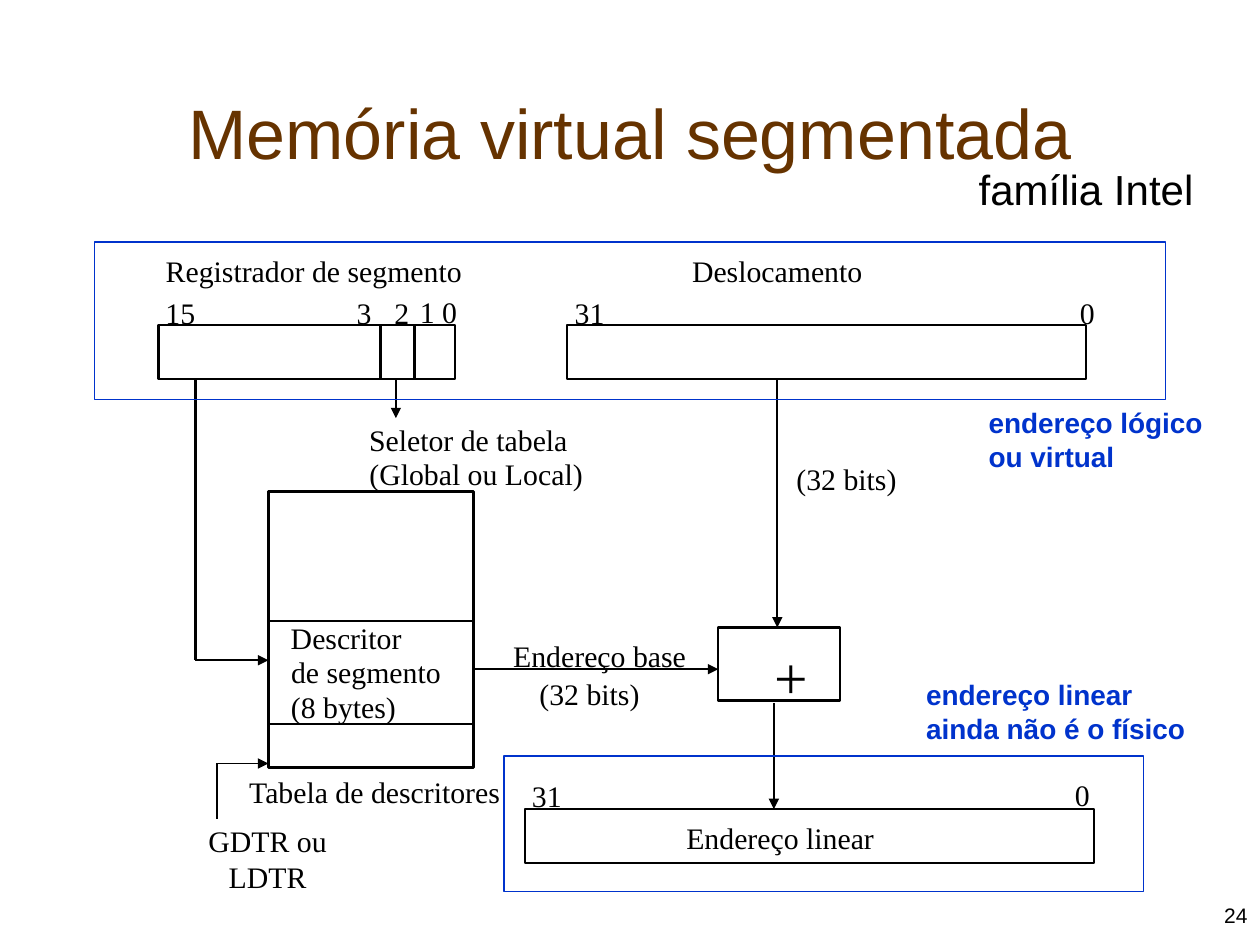
import pptx
import pptx.dml.color
import pptx.enum.shapes
import pptx.enum.text
import pptx.util
from lxml import etree
from pptx.oxml.ns import qn

Cm = pptx.util.Cm
Pt = pptx.util.Pt
ALIGN = pptx.enum.text.PP_ALIGN
ANCHOR = pptx.enum.text.MSO_ANCHOR
AUTO_SIZE = pptx.enum.text.MSO_AUTO_SIZE

BLACK, BLUE, BROWN = "000000", "0033CC", "663300"
SANS, SERIF = "Arial", "Times New Roman"


def rgb(value):
    return pptx.dml.color.RGBColor.from_string(value)


class Diagram:
    """Draws on one slide; positions are in centimetres."""

    label_size = 17
    label_height = 0.71
    box_weight = 1.39
    arrow_weight = 1

    def __init__(self, slide):
        self.slide = slide

    def format(self, sp, text, size, font, color, align, bold=False):
        tf = sp.text_frame
        tf.text = text
        p = tf.paragraphs[0]
        p.alignment = align
        for r in p.runs:
            r.font.size = Pt(size)
            r.font.name = font
            r.font.bold = bold
            r.font.color.rgb = rgb(color)

    def title(self, text, left, top, width, height):
        sp = self.slide.shapes.title
        sp.left, sp.top = Cm(left), Cm(top)
        sp.width, sp.height = Cm(width), Cm(height)
        self.format(sp, text, 40, SANS, BROWN, ALIGN.CENTER)
        sp.text_frame.vertical_anchor = ANCHOR.MIDDLE

    def note(self, text, left, top, width, height, size, color=BLACK,
             bold=False, wrap=True, align=ALIGN.LEFT):
        sp = self.slide.shapes.add_textbox(Cm(left), Cm(top), Cm(width), Cm(height))
        sp.text_frame.word_wrap = wrap
        self.format(sp, text, size, SANS, color, align, bold)

    def label(self, text, left, top, width, height=label_height, size=label_size):
        """Adds a one-line serif text without margins."""
        sp = self.slide.shapes.add_textbox(Cm(left), Cm(top), Cm(width), Cm(height))
        tf = sp.text_frame
        tf.margin_left = tf.margin_right = tf.margin_top = tf.margin_bottom = 0
        tf.word_wrap = False
        tf.auto_size = AUTO_SIZE.SHAPE_TO_FIT_TEXT
        self.format(sp, text, size, SERIF, BLACK, ALIGN.CENTER)

    def box(self, left, top, width, height, color=BLACK, weight=box_weight):
        sp = self.slide.shapes.add_shape(
            pptx.enum.shapes.MSO_SHAPE.RECTANGLE,
            Cm(left), Cm(top), Cm(width), Cm(height))
        sp.shadow.inherit = False
        sp.fill.background()
        sp.line.color.rgb = rgb(color)
        sp.line.width = Pt(weight)

    def line(self, x1, y1, x2, y2, weight=box_weight):
        cx = self.slide.shapes.add_connector(
            pptx.enum.shapes.MSO_CONNECTOR.STRAIGHT, Cm(x1), Cm(y1), Cm(x2), Cm(y2))
        cx.line.color.rgb = rgb(BLACK)
        cx.line.width = Pt(weight)
        etree.SubElement(cx._element.spPr, qn("a:effectLst"))
        return cx

    def arrow(self, x1, y1, x2, y2):
        cx = self.line(x1, y1, x2, y2, self.arrow_weight)
        etree.SubElement(cx.line._get_or_add_ln(), qn("a:tailEnd"),
                         type="triangle", w="med", len="med")


def main():
    prs = pptx.Presentation()
    prs.slide_width, prs.slide_height = Cm(25.4), Cm(19.05)
    d = Diagram(prs.slides.add_slide(prs.slide_layouts[5]))

    d.title("Memória virtual segmentada", 1.9, 1.07, 21.59, 3.18)
    d.note("família Intel", 19.48, 3.17, 4.83, 1.27, 24, wrap=False)

    # Registers, descriptor table, adder and linear address
    for box in (
        (3.2, 6.55, 5.97, 1.09),
        (11.43, 6.55, 10.46, 1.09),
        (5.41, 9.91, 4.14, 5.56),
        (5.41, 12.52, 4.14, 2.08),
        (14.48, 12.65, 2.46, 1.47),
        (10.59, 16.31, 11.46, 1.09),
    ):
        d.box(*box)
    for x in (7.67, 8.36):
        d.line(x, 6.55, x, 7.64)

    # Bit numbers
    for text, left, top, width in (
        ("15", 3.33, 5.94, 0.61),
        ("3", 7.19, 5.94, 0.3),
        ("2", 7.95, 5.94, 0.3),
        ("1 0", 8.46, 5.92, 0.76),
        ("31", 11.58, 5.94, 0.61),
        ("0", 21.77, 5.94, 0.3),
        ("31", 10.72, 15.68, 0.61),
        ("0", 21.67, 15.66, 0.3),
    ):
        d.label(text, left, top, width)

    for text, left, top, width in (
        ("Registrador de segmento", 3.33, 5.1, 6),
        ("Deslocamento", 13.94, 5.1, 3.46),
        ("Seletor de tabela", 7.44, 8.51, 4.01),
        ("(Global ou Local)", 7.44, 9.19, 4.32),
        ("Descritor", 5.86, 12.5, 2.24),
        ("de segmento", 5.86, 13.18, 3.04),
        ("(8 bytes)", 5.86, 13.88, 2.13),
        ("Tabela de descritores", 5, 15.6, 5.11),
        ("GDTR ou LDTR", 3.35, 16.59, 4.09),
        ("Endereço base", 10.34, 12.85, 3.5),
        ("(32 bits)", 10.87, 13.62, 2.03),
        ("(32 bits)", 16.05, 9.28, 2.03),
        ("Endereço linear", 13.82, 16.53, 3.82),
    ):
        d.label(text, left, top, width)
    d.label("+", 15.6, 12.9, 0.69, 1.45, size=34)

    d.line(3.94, 7.62, 3.94, 13.31)
    d.line(4.37, 15.39, 4.37, 16.51, d.arrow_weight)
    for arrow in (
        (7.98, 7.67, 7.98, 8.43),
        (3.94, 13.31, 5.41, 13.31),
        (9.55, 13.49, 14.48, 13.49),
        (15.67, 7.62, 15.67, 12.65),
        (15.6, 14.17, 15.6, 16.31),
        (4.37, 15.39, 5.41, 15.39),
    ):
        d.arrow(*arrow)

    # Logical and linear address frames
    d.box(1.9, 4.88, 21.59, 3.18, BLUE, 0.75)
    d.box(10.16, 15.24, 12.9, 2.74, BLUE, 0.75)
    d.note("endereço lógico ou virtual", 19.68, 8.05, 4.9, 1.63, 16, BLUE, bold=True)
    d.note("endereço linear ainda não é o físico", 18.42, 13.54, 5.92, 1.63, 16, BLUE, bold=True)

    d.note("24", 21.51, 18.06, 3.89, 0.99, 12, align=ALIGN.RIGHT)
    prs.save("out.pptx")


if __name__ == "__main__":
    main()
